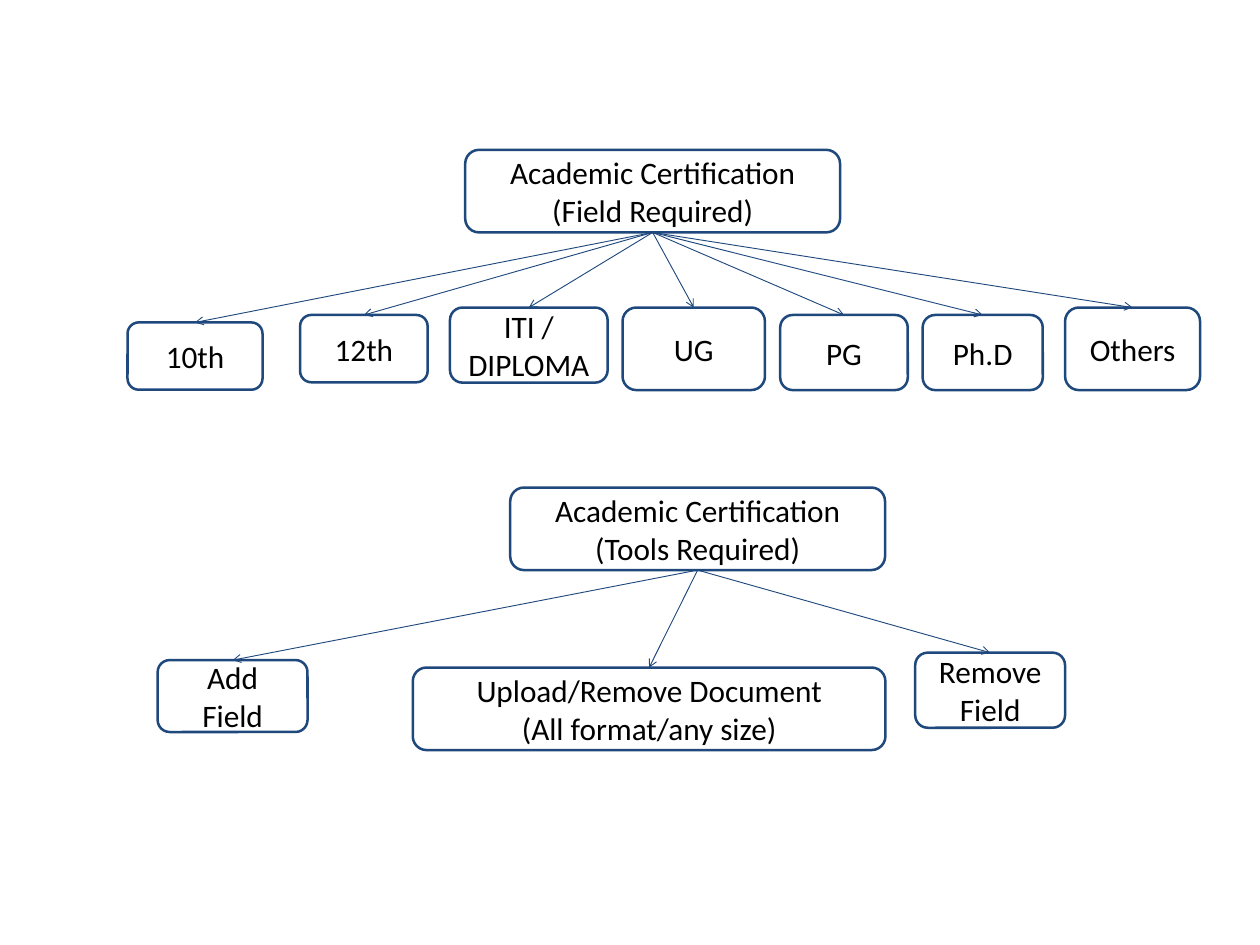
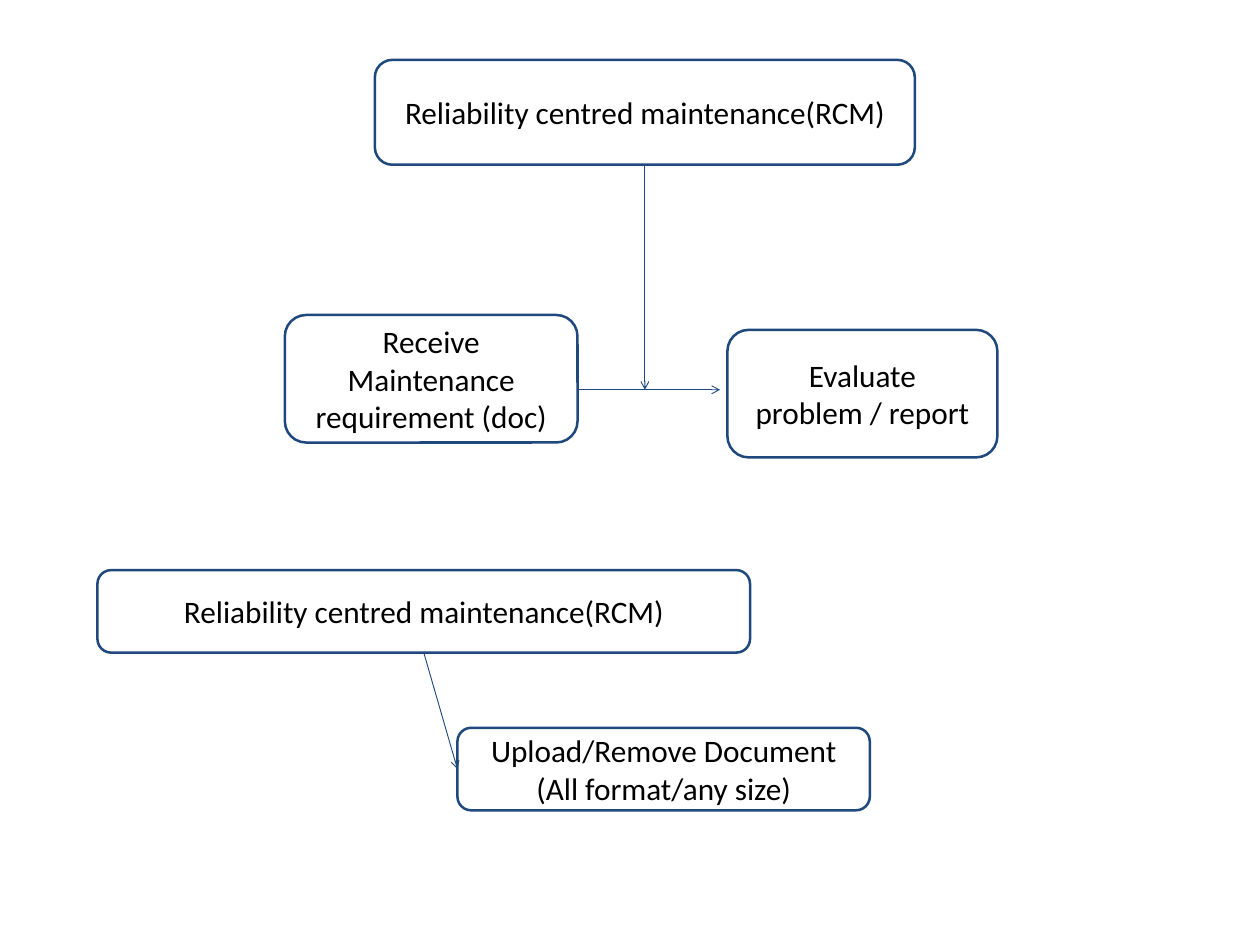
from lxml.etree import SubElement
from pptx import Presentation
from pptx.dml.color import RGBColor
from pptx.enum.shapes import MSO_CONNECTOR as Connector, MSO_SHAPE as Shape
from pptx.enum.text import MSO_ANCHOR as Anchor, PP_ALIGN as Align
from pptx.oxml.ns import qn
from pptx.util import Cm, Pt

NAVY = RGBColor(0x1F, 0x49, 0x7D)
WHITE = RGBColor(0xFF, 0xFF, 0xFF)
BLACK = RGBColor(0x00, 0x00, 0x00)
FONT = "Calibri"
TOP, LEFT, BOTTOM = 0, 1, 2
HEADER_SIZE = (10.58, 2.33)
UPLOAD = "Upload/Remove Document\n(All format/any size)"
RCM = "Reliability centred maintenance(RCM)"


def write(frame, text, size=25, color=BLACK, align=Align.CENTER):
    for index, line in enumerate(text.split("\n")):
        para = frame.add_paragraph() if index else frame.paragraphs[0]
        para.alignment = align
        span = para.add_run()
        span.text = line
        span.font.name = FONT
        span.font.size = Pt(size)
        span.font.color.rgb = color


def add_node(page, origin, text, place, size):
    left, top = (start + offset for start, offset in zip(origin, place))
    node = page.shapes.add_shape(
        Shape.ROUNDED_RECTANGLE, Cm(left), Cm(top), *map(Cm, size))
    node.shadow.inherit = False
    node.fill.solid()
    node.fill.fore_color.rgb = WHITE
    node.line.color.rgb = NAVY
    node.line.width = Pt(2)
    frame = node.text_frame
    frame.word_wrap = True
    frame.vertical_anchor = Anchor.MIDDLE
    frame.margin_left = frame.margin_right = Cm(0.36)
    frame.margin_top = frame.margin_bottom = Cm(0.18)
    write(frame, text)
    return node


def add_arrow(page, origin=(0, 0), start=(0, 0), end=(0, 0)):
    points = [Cm(base + offset) for point in (start, end)
              for base, offset in zip(origin, point)]
    arrow = page.shapes.add_connector(Connector.STRAIGHT, *points)
    arrow.line.color.rgb = NAVY
    arrow.line.width = Pt(0.75)
    SubElement(arrow.line._get_or_add_ln(), qn("a:tailEnd"), type="arrow")
    SubElement(arrow._element.spPr, qn("a:effectLst"))
    return arrow


def add_tree(page, origin, root, branches, entry=TOP):
    parent = add_node(page, origin, *root)
    for branch in branches:
        child = add_node(page, origin, *branch)
        arrow = add_arrow(page)
        arrow.begin_connect(parent, BOTTOM)
        arrow.end_connect(child, entry)


def add_maintenance_flow(page, origin):
    add_node(page, origin, RCM, (2.54, 0), (15.24, 2.96))
    add_node(page, origin, "Evaluate problem / report", (12.49, 7.62), (7.62, 3.6))
    add_node(page, origin, "Receive Maintenance requirement (doc)", (0, 7.2), (8.26, 3.6))
    add_arrow(page, origin, (10.16, 2.96), (10.16, 9.31))
    add_arrow(page, origin, (8.26, 9.31), (12.28, 9.31))


def build_certification(page):
    add_tree(page, (3.6, 4.23),
             ("Academic Certification (Field Required)", (9.53, 0), HEADER_SIZE), [
                 ("10th", (0, 4.87), (3.81, 1.9)),
                 ("12th", (4.87, 4.66), (3.6, 1.9)),
                 ("ITI / DIPLOMA", (9.1, 4.45), (4.45, 2.12)),
                 ("UG", (13.97, 4.45), (4.02, 2.33)),
                 ("PG", (18.42, 4.66), (3.6, 2.12)),
                 ("Ph.D", (22.44, 4.66), (3.39, 2.12)),
                 ("Others", (26.46, 4.45), (3.81, 2.33)),
             ])
    add_tree(page, (4.45, 13.76),
             ("Academic Certification (Tools Required)", (9.95, 0), HEADER_SIZE), [
                 ("Add Field", (0, 4.87), (4.23, 2.03)),
                 ("Remove Field", (21.38, 4.66), (4.23, 2.12)),
                 (UPLOAD, (7.2, 5.08), (13.34, 2.33)),
             ])


def build_maintenance(page):
    add_maintenance_flow(page, (8.04, 1.69))
    add_tree(page, (2.75, 16.09), (RCM, (0, 0), (18.42, 2.33)),
             [(UPLOAD, (10.16, 4.45), (11.64, 2.33))], entry=LEFT)


def main():
    deck = Presentation()
    deck.slide_width, deck.slide_height = Cm(35.56), Cm(26.67)
    for build in (build_certification, build_maintenance):
        build(deck.slides.add_slide(deck.slide_layouts[6]))
    deck.save("out.pptx")


if __name__ == "__main__":
    main()
